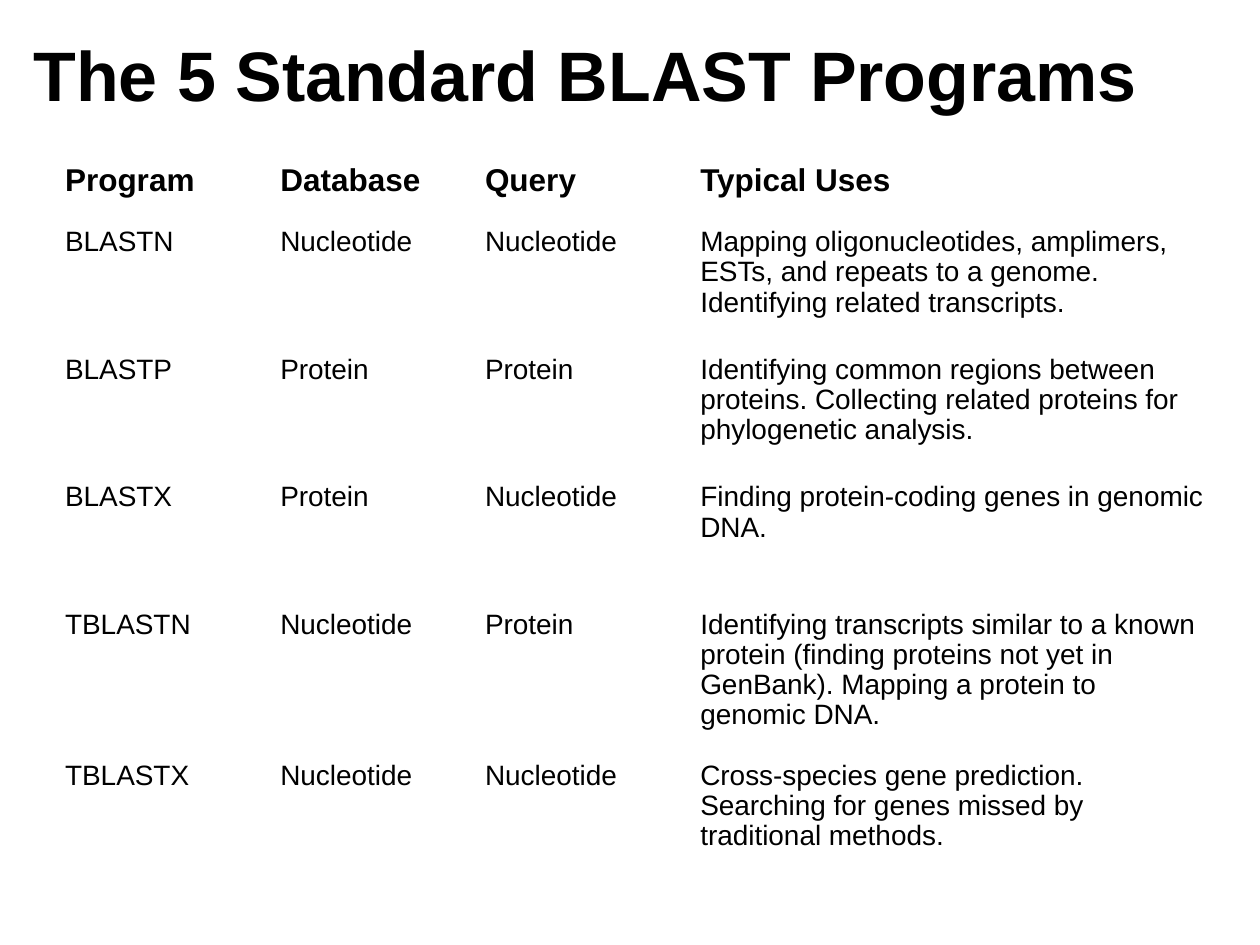
from pptx import Presentation
from pptx import util as u
from pptx.dml.color import RGBColor
from pptx.enum import text

FONT = "Arial"
COLORS = {"ink": "000000"}
HEADING = "The 5 Standard BLAST Programs"
COLUMNS = [("Program", 123), ("Database", 117), ("Query", 123), ("Typical Uses", 303)]
PROGRAMS = [
    ("BLASTN", "Nucleotide", "Nucleotide",
     "Mapping oligonucleotides, amplimers, ESTs, and repeats to a genome. "
     "Identifying related transcripts."),
    ("BLASTP", "Protein", "Protein",
     "Identifying common regions between proteins. "
     "Collecting related proteins for phylogenetic analysis."),
    ("BLASTX", "Protein", "Nucleotide",
     "Finding protein-coding genes in genomic DNA."),
    ("TBLASTN", "Nucleotide", "Protein",
     "Identifying transcripts similar to a known protein (finding proteins "
     "not yet in GenBank). Mapping a protein to genomic DNA."),
    ("TBLASTX", "Nucleotide", "Nucleotide",
     "Cross-species gene prediction. Searching for genes missed by "
     "traditional methods."),
]
ROW_HEIGHTS = [36.5, 72.9, 72.9, 72.9, 86.2, 72.9]


def write(frame, words, size, bold):
    frame.word_wrap = True
    frame.text = words
    paragraph = frame.paragraphs[0]
    paragraph.alignment = text.PP_ALIGN.LEFT
    font = paragraph.runs[0].font
    font.name, font.size, font.bold = FONT, u.Pt(size), bold
    font.color.rgb = RGBColor.from_string(COLORS["ink"])
    return paragraph


deck = Presentation()
deck.slide_width, deck.slide_height = u.Pt(720), u.Pt(540)
slide = deck.slides.add_slide(deck.slide_layouts[6])

heading = slide.shapes.add_textbox(u.Pt(12), u.Pt(12), u.Pt(696), u.Pt(60)).text_frame
write(heading, HEADING, 40, True)
heading.vertical_anchor = text.MSO_ANCHOR.MIDDLE

labels, widths = zip(*COLUMNS)
rows = [labels, *PROGRAMS]
programs = slide.shapes.add_table(
    len(rows), len(labels), u.Pt(30), u.Pt(90),
    u.Pt(sum(widths)), u.Pt(sum(ROW_HEIGHTS))).table
programs.first_row = programs.horz_banding = False
for column, width in zip(programs.columns, widths):
    column.width = u.Pt(width)
for r, (entries, height) in enumerate(zip(rows, ROW_HEIGHTS)):
    programs.rows[r].height = u.Pt(height)
    is_header = r == 0
    for c, entry in enumerate(entries):
        cell = programs.cell(r, c)
        cell.fill.background()
        paragraph = write(cell.text_frame, entry, 18 if is_header else 16, is_header)
        paragraph.line_spacing = 0.97

deck.save("out.pptx")
